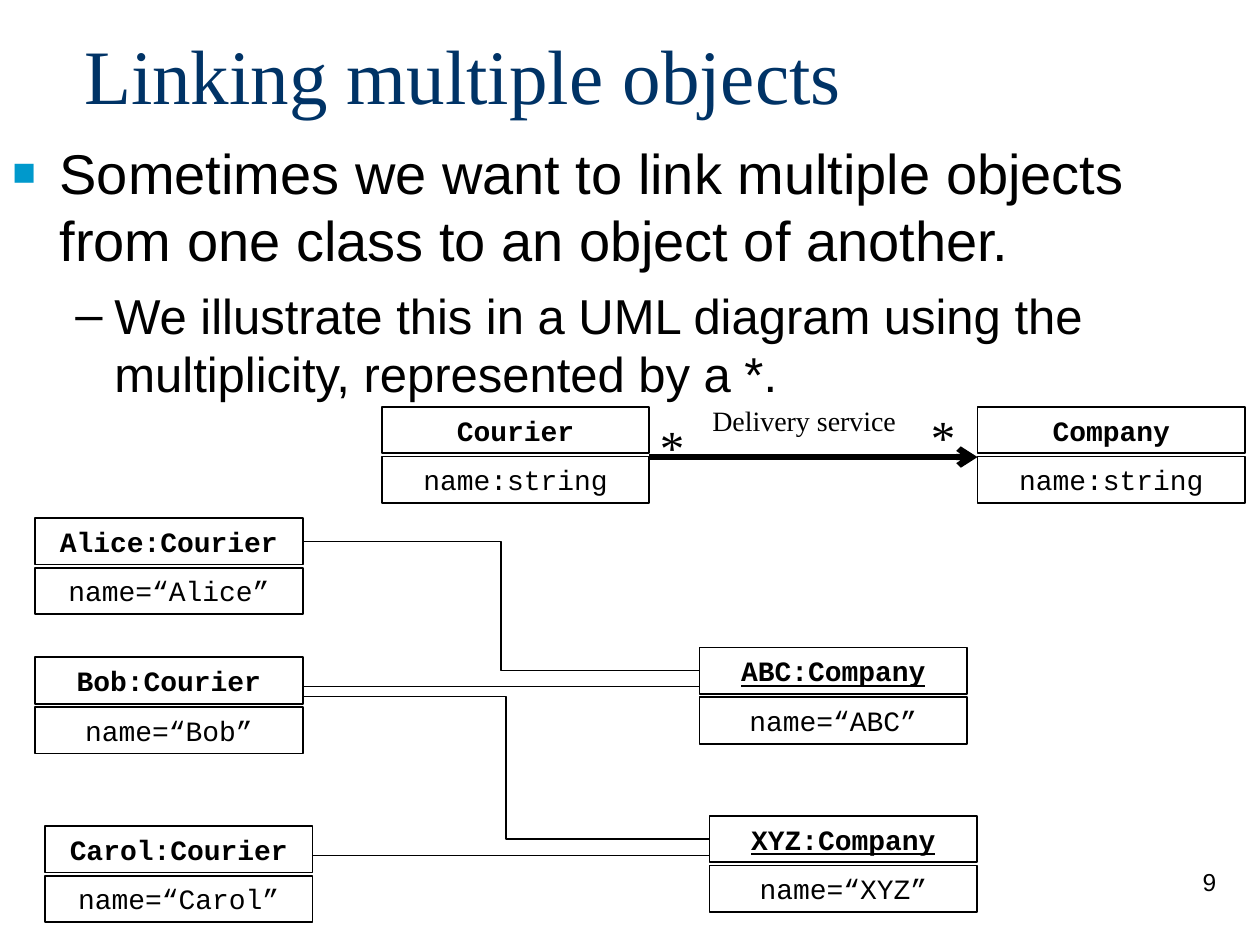
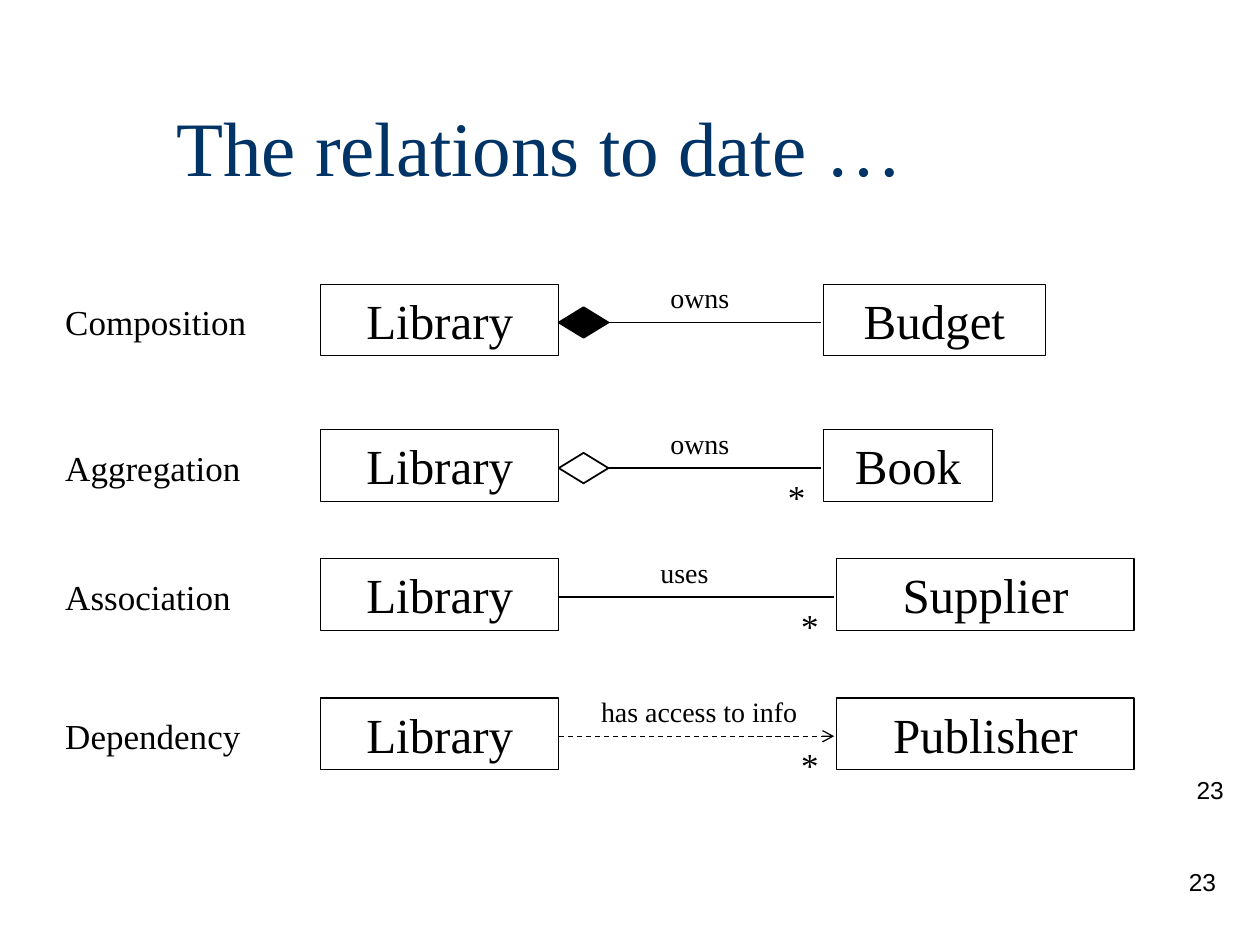
from lxml.etree import SubElement
from pptx import Presentation
from pptx.dml.color import RGBColor
from pptx.enum.dml import MSO_LINE_DASH_STYLE as DASH
from pptx.enum.shapes import MSO_CONNECTOR as CONN, MSO_SHAPE as SHAPE
from pptx.enum.text import MSO_ANCHOR as ANCHOR, PP_ALIGN as ALIGN
from pptx.oxml.ns import qn
from pptx.util import Pt

NAVY = RGBColor(0x00, 0x33, 0x66)
CYAN = RGBColor(0x00, 0x99, 0xCC)
BLACK = RGBColor(0x00, 0x00, 0x00)
SERIF, SANS, MONO = "Times New Roman", "Arial", "Courier New"
LEFT, RIGHT = 1, 3  # connection sites of rectangles and diamonds

# text, size, left margin, hanging indent, space before, bullet, bullet colour, bullet size %
BULLETS = [
    ("Sometimes we want to link multiple objects from one class to an object of another.",
     32, 27, 27, 0, "■", CYAN, 70),
    ("We illustrate this in a UML diagram using the multiplicity, represented by a *.",
     28, 58.3, 22.3, 7, "–", BLACK, 100),
]

# heading: (attribute, x, y, underlined)
CLASS_BOXES = {
    "Courier": ("name:string", 218.2, 232.5, False),
    "Company": ("name:string", 558.6, 232.5, False),
    "Alice:Courier": ("name=“Alice”", 20.1, 296, False),
    "ABC:Company": ("name=“ABC”", 399.7, 370, True),
    "XYZ:Company": ("name=“XYZ”", 405.5, 466.2, True),
    "Bob:Courier": ("name=“Bob”", 20.1, 375.6, False),
    "Carol:Courier": ("name=“Carol”", 25.7, 472, False),
}
CLASS_W, CLASS_H, CLASS_STEP = 152.9, 26.6, 28.4

# relation, verb, verb x, target, target x, target width, row top, many?
RELATIONS = [
    ("Composition", "owns", 376, "Budget", 470.6, 126.7, 162.4, False),
    ("Aggregation", "owns", 376, "Book", 470.6, 96.5, 245.6, True),
    ("Association", "uses", 370.3, "Supplier", 478.1, 170, 319.3, True),
    ("Dependency", "has access to info", 336.4, "Publisher", 478.1, 170, 398.8, True),
]
LIBRARY_X, LIBRARY_W, ROW_H = 183.2, 136.1, 41
DIAMOND_W, DIAMOND_H, LINE_DY = 28.4, 17.4, 21.9


def style(p, size, font, color=BLACK, bold=None, underline=None):
    for r in p.runs:
        f = r.font
        f.size, f.name, f.bold, f.underline = Pt(size), font, bold, underline
        f.color.rgb = color


def add_text(s, text, x, y, w, h, size, font=SERIF, color=BLACK, align=ALIGN.LEFT,
             anchor=ANCHOR.TOP):
    tf = s.shapes.add_textbox(Pt(x), Pt(y), Pt(w), Pt(h)).text_frame
    tf.word_wrap = True
    tf.vertical_anchor = anchor
    tf.text = text
    tf.paragraphs[0].alignment = align
    style(tf.paragraphs[0], size, font, color)


def add_title(s, text, x, y, h):
    add_text(s, text, x, y, 612, h, 44, SERIF, NAVY, anchor=ANCHOR.MIDDLE)


def add_number(s, number, x=552.2, y=491.8):
    add_text(s, number, x, y, 149.8, 36, 14, SANS, align=ALIGN.RIGHT)


def add_outline(s, kind, x, y, w, h, line_width, filled=False):
    sp = s.shapes.add_shape(kind, Pt(x), Pt(y), Pt(w), Pt(h))
    sp.shadow.inherit = False
    if filled:
        sp.fill.solid()
        sp.fill.fore_color.rgb = BLACK
    else:
        sp.fill.background()
    sp.line.color.rgb = BLACK
    sp.line.width = Pt(line_width)
    return sp


def add_box(s, text, x, y, w, h, line_width, size, font, bold=None, underline=None):
    sp = add_outline(s, SHAPE.RECTANGLE, x, y, w, h, line_width)
    tf = sp.text_frame
    tf.word_wrap = True
    tf.vertical_anchor = ANCHOR.TOP
    tf.text = text
    tf.paragraphs[0].alignment = ALIGN.CENTER
    style(tf.paragraphs[0], size, font, BLACK, bold, underline)
    return sp


def add_line(s, x1, y1, x2, y2, width=0.75, kind=CONN.STRAIGHT, arrow=False, dashed=False,
             begin=None, end=None):
    """Draw a connector, joined to the right of begin and the left of end if given."""
    c = s.shapes.add_connector(kind, Pt(x1), Pt(y1), Pt(x2), Pt(y2))
    c.line.color.rgb = BLACK
    c.line.width = Pt(width)
    if dashed:
        c.line.dash_style = DASH.DASH
    if arrow:
        SubElement(c.line._get_or_add_ln(), qn("a:tailEnd"), type="arrow")
    SubElement(c._element.spPr, qn("a:effectLst"))
    if begin is not None:
        c.begin_connect(begin, RIGHT)
    if end is not None:
        c.end_connect(end, LEFT)


def add_bullets(s):
    tf = s.shapes.add_textbox(0, Pt(75.6), Pt(667.4), Pt(158.4)).text_frame
    tf.word_wrap = True
    for i, (text, size, margin, hang, before, char, color, percent) in enumerate(BULLETS):
        p = tf.add_paragraph() if i else tf.paragraphs[0]
        p.text = text
        pPr = p._p.get_or_add_pPr()
        pPr.set("marL", str(Pt(margin)))
        pPr.set("indent", str(-Pt(hang)))
        SubElement(SubElement(pPr, qn("a:buClr")), qn("a:srgbClr"), val=str(color))
        SubElement(pPr, qn("a:buSzPct"), val=str(percent * 1000))
        SubElement(pPr, qn("a:buFont"), typeface=SANS)
        SubElement(pPr, qn("a:buChar"), char=char)
        p.space_before = Pt(before)
        style(p, size, SANS)


def build_linking(s):
    add_number(s, "9")
    add_title(s, "Linking multiple objects", 41, 12.2, 59.8)
    add_bullets(s)
    heads = {}
    for name, (attribute, x, y, underline) in CLASS_BOXES.items():
        heads[name] = add_box(s, name, x, y, CLASS_W, CLASS_H, 1, 16, MONO, True, underline)
        add_box(s, attribute, x, y + CLASS_STEP, CLASS_W, CLASS_H, 1, 16, MONO)

    def right(name):
        return CLASS_BOXES[name][1] + CLASS_W

    def left(name):
        return CLASS_BOXES[name][1]

    add_line(s, right("Courier"), 261.2, left("Company"), 261.2, 3.5, arrow=True)
    add_text(s, "Delivery service", 400, 226.8, 124, 26.6, 16)
    for x, y in [(370, 234.7), (524.9, 229)]:
        add_text(s, "*", x, y, 45.4, 41, 28)

    alice, bob, carol = "Alice:Courier", "Bob:Courier", "Carol:Courier"
    abc, xyz = "ABC:Company", "XYZ:Company"
    add_line(s, right(alice), 309.3, left(abc), 383.3, kind=CONN.ELBOW,
             begin=heads[alice], end=heads[abc])
    add_line(s, right(bob), 392.4, left(abc), 392.4)
    add_line(s, right(bob), 398, left(xyz), 479.5, kind=CONN.ELBOW, end=heads[xyz])
    add_line(s, right(carol), 488.9, left(xyz), 488.9)


def build_relations(s):
    add_number(s, "23")
    add_title(s, "The relations to date …", 93.6, 46.8, 73.4)
    add_number(s, "23", 556.6, 439.2)
    for relation, verb, verb_x, target, x, w, top, many in RELATIONS:
        add_box(s, "Library", LIBRARY_X, top, LIBRARY_W, ROW_H, 0.75, 28, SERIF)
        add_box(s, target, x, top, w, ROW_H, 0.75, 28, SERIF)
        start, y, diamond = LIBRARY_X + LIBRARY_W, top + LINE_DY, None
        if relation in ("Composition", "Aggregation"):
            diamond = add_outline(s, SHAPE.DIAMOND, start, y - DIAMOND_H / 2, DIAMOND_W,
                                  DIAMOND_H, 1, filled=relation == "Composition")
            start += DIAMOND_W
        dependency = relation == "Dependency"
        add_line(s, start, y, x - 1.4, y, arrow=dependency, dashed=dependency, begin=diamond)
        if many:
            add_text(s, "*", x - 27.4, top + 22.8, 26, 31.7, 20)
        add_text(s, relation, 30.2, top + 5.8, 123.8, 31.7, 20)
        add_text(s, verb, verb_x, top - 5.6, 136, 26.6, 16)


def main():
    prs = Presentation()
    prs.slide_width, prs.slide_height = Pt(720), Pt(540)
    for build in (build_linking, build_relations):
        build(prs.slides.add_slide(prs.slide_layouts[6]))
    prs.save("out.pptx")


if __name__ == "__main__":
    main()
